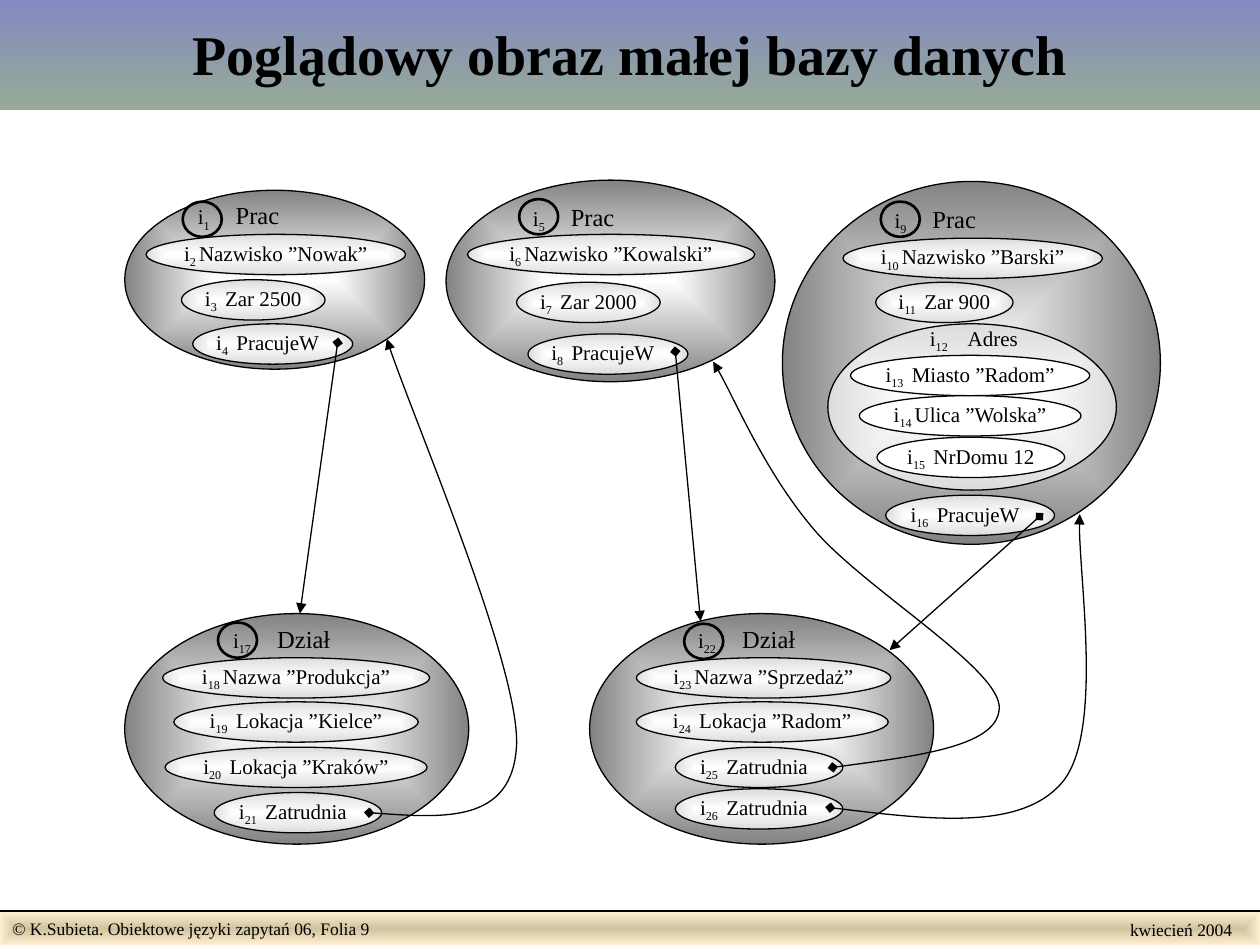
import pptx
import pptx.util
import pptx.dml.color
import pptx.enum.shapes
import pptx.enum.text
import pptx.oxml
import pptx.oxml.ns
from lxml import etree

Inches, Pt = pptx.util.Inches, pptx.util.Pt
tagged = pptx.oxml.ns.qn
SHAPE = pptx.enum.shapes.MSO_SHAPE
ALIGN = pptx.enum.text.PP_ALIGN
ANCHOR = pptx.enum.text.MSO_ANCHOR
FONT = "Times New Roman"
HEX = {"ink": "000000", "white": "FFFFFF", "grey": "838383", "pale": "DDDDDD",
       "sky": "8488C4", "sage": "96AB94", "sand": "D1C39F", "cream": "FFEFD1"}

TITLE = "Poglądowy obraz małej bazy danych"
CREDIT = "© K.Subieta. Obiektowe języki zapytań 06, Folia 9"
DATE = "kwiecień 2004"

# Objects: outline, rim, heading (id, name, size, left, top, tab), ring,
# item colour, items (id, text, left, top, width)
OBJECTS = [
    ((0.99, 1.51, 2.38, 1.42), "grey", (1, "Prac", 14, 1.57, 1.59, 0.3), (1.45, 1.6), "pale", [
        (2, "Nazwisko ”Nowak”", 1.16, 1.86, 2.06),
        (3, " Zar 2500", 1.44, 2.22, 1.14),
        (4, " PracujeW", 1.53, 2.57, 1.27)]),
    ((3.54, 1.43, 2.61, 1.6), "grey", (5, "Prac", 14, 4.23, 1.6, 0.3), (4.12, 1.58), "pale", [
        (6, "Nazwisko ”Kowalski”", 3.71, 1.86, 2.28),
        (7, " Zar 2000", 4.1, 2.24, 1.14),
        (8, " PracujeW", 4.19, 2.65, 1.27)]),
    ((6.21, 1.44, 3, 2.88), "grey", (9, "Prac", 14, 7.1, 1.62, 0.3), (6.99, 1.6), "pale", [
        (10, "Nazwisko ”Barski”", 6.69, 1.89, 2.06),
        (11, " Zar 900", 6.95, 2.24, 1.09),
        (16, " PracujeW", 7.03, 3.93, 1.34)]),
    ((6.57, 2.57, 2.29, 1.32), "pale", (12, "Adres", 12, 7.38, 2.58, 0.3), None, "white", [
        (13, " Miasto ”Radom”", 6.75, 2.82, 1.9),
        (14, "Ulica ”Wolska”", 6.82, 3.14, 1.76),
        (15, " NrDomu 12", 6.96, 3.47, 1.49)]),
    ((0.99, 4.87, 2.73, 1.83), "grey", (17, "Dział", 14, 1.85, 4.95, 0.35), (1.73, 4.94), "pale", [
        (18, "Nazwa ”Produkcja”", 1.29, 5.22, 2.12),
        (19, " Lokacja ”Kielce”", 1.38, 5.57, 1.94),
        (20, " Lokacja ”Kraków”", 1.31, 5.93, 2.08),
        (21, " Zatrudnia", 1.7, 6.29, 1.33)]),
    ((4.68, 4.87, 2.73, 1.83), "grey", (22, "Dział", 14, 5.54, 4.95, 0.35), (5.43, 4.95), "pale", [
        (23, "Nazwa ”Sprzedaż”", 5.05, 5.22, 2.02),
        (24, " Lokacja ”Radom”", 5.05, 5.57, 2),
        (25, " Zatrudnia", 5.36, 5.93, 1.33),
        (26, " Zatrudnia", 5.36, 6.26, 1.33)]),
]
POINTERS = (" PracujeW", " Zatrudnia")  # these leave room for a link's start
# Straight links run from PracujeW to Dział
LINKS = [((5.36, 2.79), (5.56, 4.93)), ((8.25, 4.1), (7.06, 5.16)),
         ((2.68, 2.72), (2.38, 4.87))]
# Curved links run from Zatrudnia to Prac: a start, then Bézier triples
CURVES = [
    [(2.93, 6.45), (3.5, 6.49), (4.07, 6.54), (4.1, 5.91),
     (4.12, 5.28), (3.24, 3.23), (3.07, 2.69)],
    [(6.59, 6.41), (7.34, 6.5), (8.1, 6.6), (8.43, 6.21),
     (8.76, 5.82), (8.54, 4.44), (8.57, 4.08)],
    [(6.61, 6.09), (7.28, 6), (7.95, 5.92), (7.93, 5.6), (7.9, 5.28), (6.83, 4.65),
     (6.45, 4.19), (6.07, 3.74), (5.8, 3.09), (5.66, 2.87)],
]


def shade(name):
    return pptx.dml.color.RGBColor.from_string(HEX[name])


def blend(fill, names, angle=None):
    """Two-colour gradient: linear at an angle, or from the centre outwards."""
    fill.gradient()
    for stop, name, place in zip(fill.gradient_stops, names, (0, 1)):
        stop.color.rgb = shade(name)
        stop.position = place
    if angle is not None:
        fill.gradient_angle = angle
        return
    grad = fill._fill._gradFill
    grad.replace(grad.find(tagged("a:lin")), pptx.oxml.parse_xml(
        f'<a:path {pptx.oxml.ns.nsdecls("a")} path="rect">'
        '<a:fillToRect l="50000" t="50000" r="50000" b="50000"/></a:path>'))


def stroke(line, width=0.75):
    line.color.rgb = shade("ink")
    line.width = Pt(width)


def arrow(shape):
    stroke(shape.line)
    for tag, kind in (("headEnd", "diamond"), ("tailEnd", "triangle")):
        etree.SubElement(shape.line._get_or_add_ln(), tagged(f"a:{tag}"), type=kind)


def link(start, end):
    line = slide.shapes.add_connector(pptx.enum.shapes.MSO_CONNECTOR.STRAIGHT,
                                      *map(Inches, start + end))
    etree.SubElement(line._element.spPr, tagged("a:effectLst"))
    return line


def bend(knots):
    """Outline through the knots, each three segments joined into one Bézier."""
    dots = [tuple(map(Inches, knot)) for knot in knots]
    pen = slide.shapes.build_freeform(*dots[0])
    pen.add_line_segments(dots[1:], close=False)
    curve = pen.convert_to_shape()
    legs = list(curve._element.iter(tagged("a:lnTo")))
    for k in range(0, len(legs), 3):
        cubic = etree.Element(tagged("a:cubicBezTo"))
        legs[k].addprevious(cubic)
        for leg in legs[k:k + 3]:
            cubic.append(leg[0])
            leg.getparent().remove(leg)
    curve.shadow.inherit = False
    curve.fill.background()
    return curve


def block(kind, box, rim=None):
    shape = slide.shapes.add_shape(kind, *map(Inches, box))
    shape.shadow.inherit = False
    if rim is None:
        shape.fill.background()
    elif rim == "white":
        shape.fill.solid()
        shape.fill.fore_color.rgb = shade(rim)
    else:
        blend(shape.fill, ("white", rim))
    stroke(shape.line)
    return shape


def style(para, size, align=ALIGN.LEFT, bold=False):
    para.alignment = align
    para.font.name, para.font.size, para.font.bold = FONT, Pt(size), bold
    para.font.color.rgb = shade("ink")


def label(frame, num, text, size=12, tab=None):
    """Write an identifier i with its index, then the text."""
    frame.margin_left = frame.margin_right = frame.margin_top = frame.margin_bottom = 0
    if text in POINTERS:
        frame.margin_right = Inches(0.08)
    frame.word_wrap = tab is not None
    para = frame.paragraphs[0]
    if tab:
        stops = etree.SubElement(para._p.get_or_add_pPr(), tagged("a:tabLst"))
        etree.SubElement(stops, tagged("a:tab"), pos=str(Inches(tab)), algn="l")
    style(para, size, ALIGN.LEFT if tab else ALIGN.CENTER)
    index, words = (str(num), "\t" + text) if tab else (f"{num} ", text)
    for part, points, drop in (("i", 12, 0), (index, 12, -25000), (words, size, 0)):
        run = para.add_run()
        run.text = part
        run.font.size = Pt(points)
        if drop:
            run.font._element.set("baseline", str(drop))


deck = pptx.Presentation()
deck.slide_width, deck.slide_height = Inches(10), Inches(7.5)
slide = deck.slides.add_slide(deck.slide_layouts[5])

# Title band
title = slide.shapes.title
title.left, title.top, title.width, title.height = map(Inches, (0, -0.03, 10, 0.9))
blend(title.fill, ("sky", "sage"), 270)
title.text_frame.text = TITLE
title.text_frame.vertical_anchor = ANCHOR.MIDDLE
style(title.text_frame.paragraphs[0], 32, ALIGN.CENTER, True)

# Footer
band = block(SHAPE.RECTANGLE, (0, 7.24, 10, 0.26))
blend(band.fill, ("sand", "cream"))
band.line.fill.background()
stroke(link((0, 7.23), (10, 7.23)).line, 1)
date = slide.shapes.add_textbox(*map(Inches, (8.87, 7.24, 1.01, 0.27)))
for shape, text in ((band, CREDIT), (date, DATE)):
    shape.text_frame.text = text
    shape.text_frame.word_wrap = shape is band
    shape.text_frame.vertical_anchor = ANCHOR.MIDDLE
    style(shape.text_frame.paragraphs[0], 10)

# Objects with their items
for box, rim, (num, name, size, left, top, tab), ring, tint, items in OBJECTS:
    block(SHAPE.OVAL, box, rim)
    head = slide.shapes.add_textbox(*map(Inches, (left, top, 0.78, 0.26)))
    label(head.text_frame, num, name, size, tab)
    for index, text, x, y, width in items:
        oval = block(SHAPE.OVAL, (x, y, width, 0.32), tint)
        oval.text_frame.vertical_anchor = ANCHOR.MIDDLE
        label(oval.text_frame, index, text)
    if ring:
        stroke(block(SHAPE.OVAL, ring + (0.31, 0.28)).line, 1.5)

# Links between objects
for start, end in LINKS:
    arrow(link(start, end))
for knots in CURVES:
    arrow(bend(knots))

deck.save("out.pptx")
